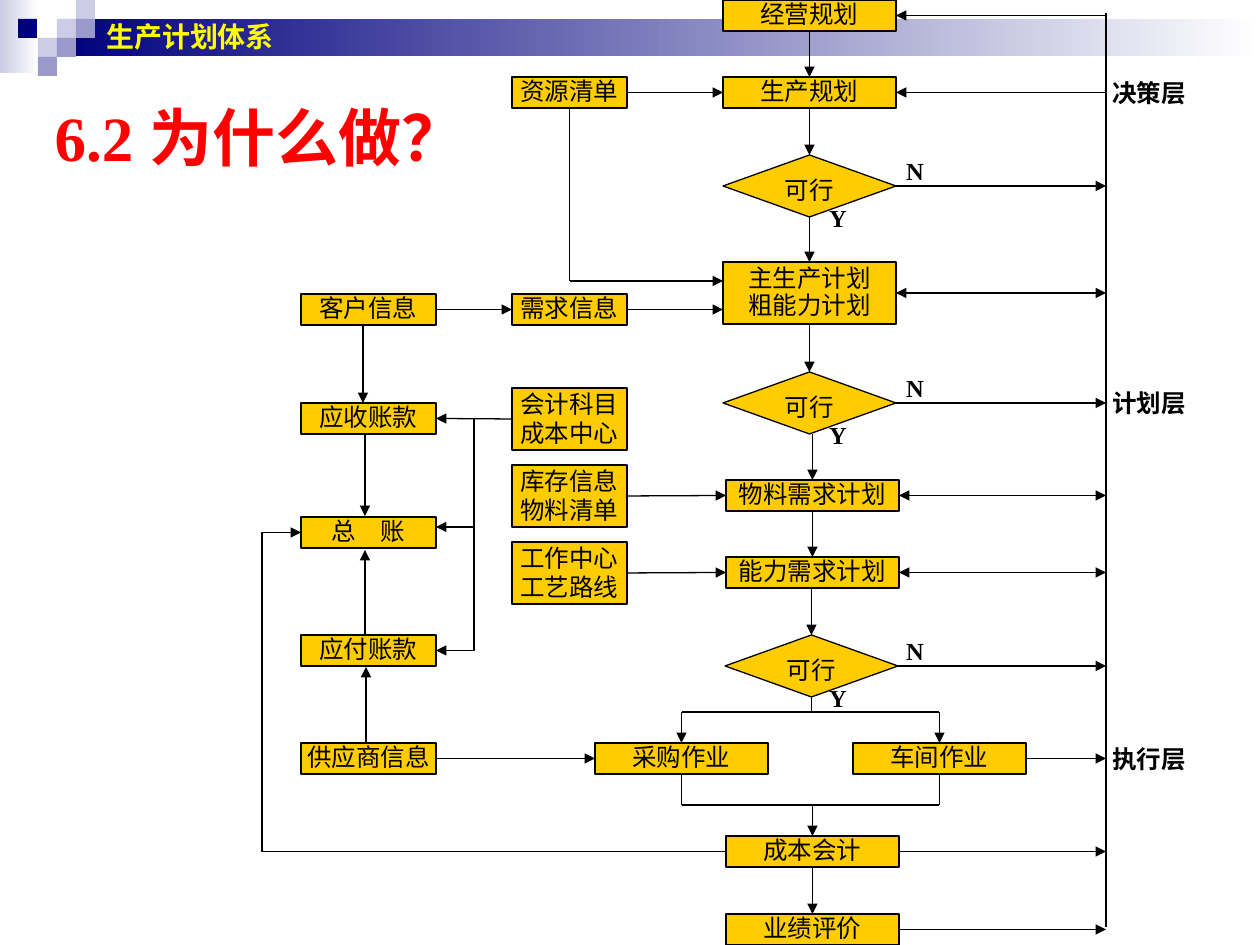
import pptx
import pptx.util
from dataclasses import dataclass
from lxml import etree
from pptx.dml.color import RGBColor
from pptx.enum.shapes import MSO_CONNECTOR, MSO_SHAPE
from pptx.enum.text import MSO_ANCHOR, MSO_AUTO_SIZE, PP_ALIGN
from pptx.oxml.ns import qn

SCALE = 914400 / 126
TOP, LEFT, BOTTOM, RIGHT = range(4)


@dataclass(frozen=True)
class Theme:
    navy: str = "00007D"
    lilac: str = "9999CC"
    pale: str = "CCCCE6"
    white: str = "FFFFFF"
    gold: str = "FFCC00"
    black: str = "000000"
    red: str = "FF0000"
    yellow: str = "FFFF00"
    serif: str = "Times New Roman"
    sans: str = "Arial"
    title: int = 36
    head: int = 16
    body: int = 14
    line: float = 0.75


def px(n):
    return pptx.util.Emu(round(n * SCALE))


def rgb(code):
    return RGBColor.from_string(code)


def spot(end):
    """Return an end's place in EMU; None in a point means level with the other end."""
    if isinstance(end[0], (int, type(None))):
        return [None if n is None else px(n) for n in end]
    box, side = end
    x = {LEFT: 0, RIGHT: box.width}.get(side, box.width // 2)
    y = {TOP: 0, BOTTOM: box.height}.get(side, box.height // 2)
    return [box.left + x, box.top + y]


class Board:
    def __init__(self, slide, theme):
        self.slide, self.theme = slide, theme

    def letter(self, shape, text, size, color, font, bold=False,
               align=PP_ALIGN.CENTER, anchor=MSO_ANCHOR.TOP, slim=True):
        frame = shape.text_frame
        frame.word_wrap = True
        frame.auto_size = MSO_AUTO_SIZE.NONE
        frame.vertical_anchor = anchor
        if slim:
            frame.margin_left = frame.margin_right = px(2)
            frame.margin_top = frame.margin_bottom = px(1)
        frame.text = text
        for para in frame.paragraphs:
            para.alignment = align
            para.font.size = pptx.util.Pt(size)
            para.font.name = font
            para.font.bold = bold
            para.font.color.rgb = rgb(color)

    def title(self, text, x, y, w, h):
        shape = self.slide.shapes.title
        shape.left, shape.top, shape.width, shape.height = map(px, (x, y, w, h))
        t = self.theme
        self.letter(shape, text, t.title, t.red, t.serif, True,
                    PP_ALIGN.LEFT, MSO_ANCHOR.MIDDLE, False)

    def head(self, text, x, y, w, h):
        shape = self.slide.shapes.add_textbox(*map(px, (x, y, w, h)))
        t = self.theme
        self.letter(shape, text, t.head, t.yellow, t.sans, True,
                    PP_ALIGN.LEFT, MSO_ANCHOR.MIDDLE, False)

    def label(self, text, x, y, w, h=31):
        shape = self.slide.shapes.add_textbox(*map(px, (x, y, w, h)))
        t = self.theme
        self.letter(shape, text, t.body, t.black, t.serif, True)

    def block(self, x, y, w, h, *colors, kind=MSO_SHAPE.RECTANGLE):
        shape = self.slide.shapes.add_shape(kind, *map(px, (x, y, w, h)))
        shape.shadow.inherit = False
        shape.line.fill.background()
        if len(colors) == 1:
            shape.fill.solid()
            shape.fill.fore_color.rgb = rgb(colors[0])
        else:
            shape.fill.gradient()
            shape.fill.gradient_angle = 0
            for stop, color in zip(shape.fill.gradient_stops, colors):
                stop.color.rgb = rgb(color)
        return shape

    def box(self, text, x, y, w, h=31, tight=True, kind=MSO_SHAPE.RECTANGLE):
        t = self.theme
        shape = self.block(x, y, w, h, t.gold, kind=kind)
        shape.line.color.rgb = rgb(t.black)
        shape.line.width = pptx.util.Pt(t.line)
        self.letter(shape, text, t.body, t.black, t.serif,
                    slim=kind == MSO_SHAPE.RECTANGLE)
        if tight:
            shape.text_frame.paragraphs[-1].line_spacing = 0.96
        return shape

    def gate(self, x, y):
        """Draw a decision with its yes and no labels."""
        shape = self.box("可行", x, y, 173, 62, kind=MSO_SHAPE.FLOWCHART_DECISION)
        self.label("N", 896, y, 38)
        self.label("Y", 819, y + 47, 38)
        return shape

    def wire(self, start, end, heads=("tail",)):
        a, b = spot(start), spot(end)
        a, b = ([m if n is None else n for n, m in zip(*pair)]
                for pair in ((a, b), (b, a)))
        link = self.slide.shapes.add_connector(MSO_CONNECTOR.STRAIGHT, *a, *b)
        link.line.color.rgb = rgb(self.theme.black)
        link.line.width = pptx.util.Pt(self.theme.line)
        for tip, join in ((start, link.begin_connect), (end, link.end_connect)):
            if not isinstance(tip[0], (int, type(None))):
                join(*tip)
        props = link.element.spPr
        for head in heads:
            etree.SubElement(props.find(qn("a:ln")), qn(f"a:{head}End"), type="triangle")
        etree.SubElement(props, qn("a:effectLst"))


def main():
    deck = pptx.Presentation()
    deck.slide_width, deck.slide_height = px(1260), px(945)
    t = Theme()
    board = Board(deck.slides.add_slide(deck.slide_layouts[5]), t)
    box, gate, wire = board.box, board.gate, board.wire

    # Header band and squares
    board.block(0, 0, 39, 73, t.pale, t.white)
    board.block(57, 19, 1203, 37, t.navy, t.white)
    for x, y, color in ((57, 19, t.pale), (76, 0, t.pale), (76, 19, t.lilac),
                        (38, 38, t.pale), (18, 19, t.navy), (57, 38, t.lilac),
                        (38, 57, t.lilac)):
        board.block(x, y, 19, 19, color)
    board.title("6.2 为什么做？", 42, 94, 1134, 84)
    board.head("生产计划体系", 94, 0, 1112, 73)

    # Main column
    goal = box("经营规划", 723, 0, 173)
    plan = box("生产规划", 723, 77, 173)
    gate1 = gate(723, 155)
    master = box("主生产计划\n粗能力计划", 723, 262, 173, 62)
    gate2 = gate(723, 372)
    stock = box("物料需求计划", 726, 480, 173)
    load = box("能力需求计划", 726, 557, 173)
    gate3 = gate(725, 635)
    buy = box("采购作业", 595, 743, 173)
    shop = box("车间作业", 853, 743, 173)
    cost = box("成本会计", 726, 836, 173)
    score = box("业绩评价", 726, 914, 173)

    # Data column
    source = box("资源清单", 512, 77, 115)
    need = box("需求信息", 512, 294, 115)
    books, parts, route = [
        box(text, 512, y, 115, 62, tight=False)
        for text, y in (("会计科目\n成本中心", 388), ("库存信息\n物料清单", 465),
                        ("工作中心\n工艺路线", 542))]

    # Finance column
    client, owed, ledger, due, vendor = [
        box(text, 301, y, 135)
        for text, y in (("客户信息", 294), ("应收账款", 403), ("总　账", 517),
                        ("应付账款", 635), ("供应商信息", 743))]

    # Layer names
    for text, y in (("决策层", 77), ("计划层", 387), ("执行层", 743)):
        board.label(text, 1101, y, 96)

    # Flow down the main column
    for upper, lower in ((goal, plan), (plan, gate1), (gate1, master),
                         (master, gate2), (stock, load), (cost, score)):
        wire((upper, BOTTOM), (lower, TOP))
    wire((None, 434), (stock, TOP))
    wire((None, 588), (gate3, TOP))

    # Split into two jobs and merge again
    wire((gate3, BOTTOM), (None, 712), ())
    wire((682, 712), (939, 712), ())
    wire((682, 805), (939, 805), ())
    for job in (buy, shop):
        wire((None, 712), (job, TOP))
        wire((job, BOTTOM), (None, 805), ())
    wire((None, 805), (cost, TOP))

    # Feedback rail on the right
    rail = (1106, None)
    wire((1106, 927), (1106, 13), ())
    for item in (goal, plan):
        wire((item, RIGHT), rail, ("head",))
    for item in (master, stock, load):
        wire((item, RIGHT), rail, ("head", "tail"))
    for item in (gate1, gate2, gate3, shop, cost, score):
        wire((item, RIGHT), rail)

    # Data into the main column
    for left, right in ((source, plan), (parts, stock), (route, load),
                        (client, need), (vendor, buy)):
        wire((left, RIGHT), (right, LEFT))
    wire((need, RIGHT), (723, None))
    wire((source, BOTTOM), (None, 281), ())
    wire((570, 281), (723, 281))

    # Finance links
    for x, y, end in ((363, 325, 403), (365, 434, 516), (365, 634, 550), (366, 743, 667)):
        wire((x, y), (x, end))
    wire((books, LEFT), (owed, RIGHT))
    wire((474, 419), (474, 651), ())
    wire((474, 527), (436, 527))
    wire((474, None), (due, RIGHT))
    wire((cost, LEFT), (262, None), ())
    wire((262, 852), (262, 532), ())
    wire((262, None), (ledger, LEFT))

    deck.save("out.pptx")


if __name__ == "__main__":
    main()
